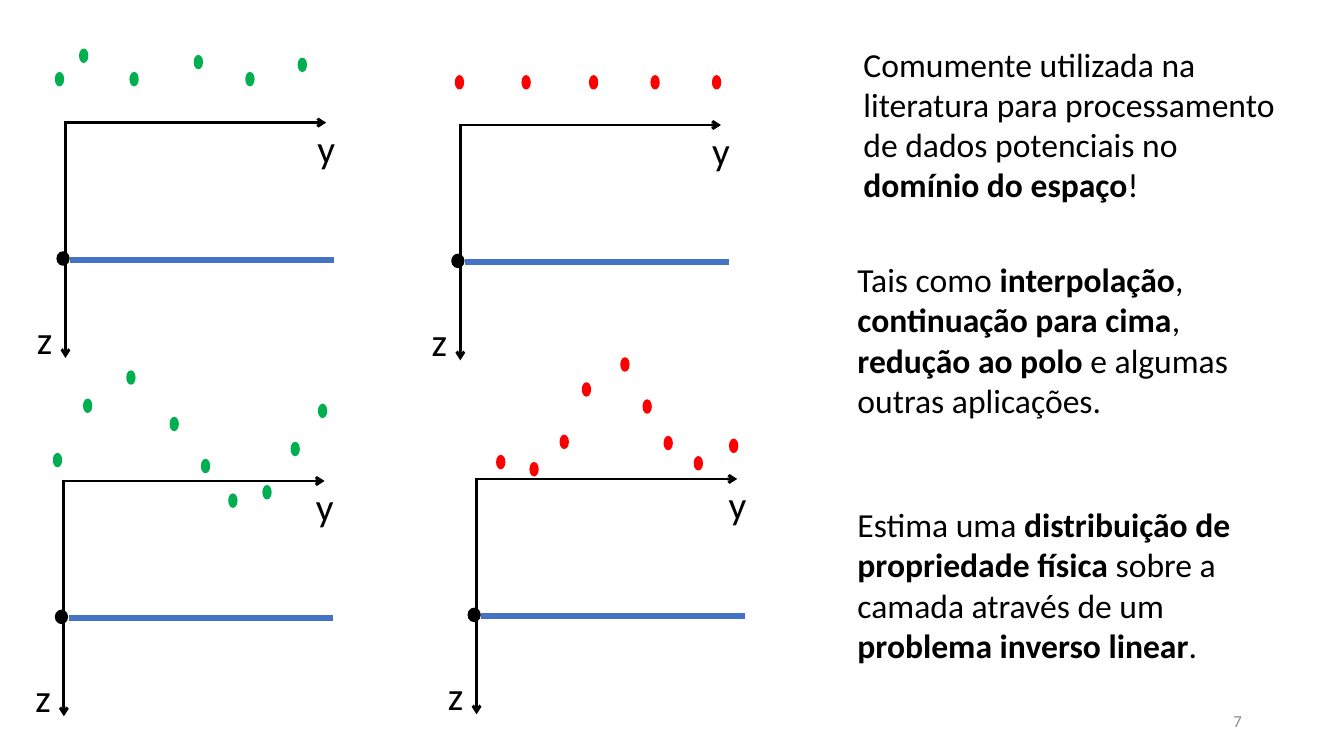
from dataclasses import dataclass

from lxml import etree
from pptx import Presentation
from pptx.dml.color import RGBColor
from pptx.enum.shapes import MSO_CONNECTOR, MSO_SHAPE
from pptx.enum.text import MSO_ANCHOR, MSO_AUTO_SIZE, PP_ALIGN
from pptx.oxml.ns import qn
from pptx.util import Cm, Pt

STRAIGHT = MSO_CONNECTOR.STRAIGHT
OVAL = MSO_SHAPE.OVAL
MIDDLE, TOP = MSO_ANCHOR.MIDDLE, MSO_ANCHOR.TOP
LEFT, RIGHT = PP_ALIGN.LEFT, PP_ALIGN.RIGHT
GROW = MSO_AUTO_SIZE.SHAPE_TO_FIT_TEXT
BLANK = 6


@dataclass(frozen=True)
class Theme:
    font: str = "Calibri"
    black: str = "000000"
    gray: str = "8C8C8C"
    blue: str = "4472C4"
    green: str = "00B050"
    red: str = "FF0000"
    label: int = 28
    body: int = 24
    small: int = 12


class Board:
    def __init__(self, slide, theme):
        self.slide = slide
        self.theme = theme

    def line(self, x, y, dx, dy, color, width, arrow=False):
        line = self.slide.shapes.add_connector(
            STRAIGHT, Cm(x), Cm(y), Cm(x + dx), Cm(y + dy))
        line.line.color.rgb = RGBColor.from_string(color)
        line.line.width = Pt(width)
        if arrow:
            etree.SubElement(line.line._get_or_add_ln(), qn("a:tailEnd"), type="arrow")
        etree.SubElement(line._element.spPr, qn("a:effectLst"))

    def dot(self, x, y, width, color):
        dot = self.slide.shapes.add_shape(OVAL, Cm(x), Cm(y), Cm(width), Cm(0.33))
        dot.shadow.inherit = False
        dot.fill.solid()
        dot.fill.fore_color.rgb = RGBColor.from_string(color)
        dot.line.color.rgb = RGBColor.from_string(color)
        dot.line.width = Pt(1)

    def text(self, x, y, width, height, words, size, color=None,
             align=LEFT, anchor=TOP, wrap=True, grow=True):
        """Add a text box; parts between asterisks are bold."""
        box = self.slide.shapes.add_textbox(Cm(x), Cm(y), Cm(width), Cm(height))
        frame = box.text_frame
        frame.word_wrap = wrap
        frame.vertical_anchor = anchor
        if grow:
            frame.auto_size = GROW
        para = frame.paragraphs[0]
        para.alignment = align
        for i, part in enumerate(words.split("*")):
            if not part:
                continue
            run = para.add_run()
            run.text = part
            run.font.name = self.theme.font
            run.font.size = Pt(size)
            run.font.bold = i % 2 == 1
            run.font.color.rgb = RGBColor.from_string(color or self.theme.black)

    def panel(self, x, y, color, points):
        """Draw axes from (x, y), the layer below and the data points."""
        theme = self.theme
        self.line(x, y, 0, 5.96, theme.black, 2, arrow=True)
        self.line(x, y + 0.03, 6.57, 0, theme.black, 2, arrow=True)
        self.text(x + 6.1, y - 0.05, 0.91, 1.45, "y", theme.label)
        self.text(x - 0.97, y + 4.75, 0.91, 1.45, "z", theme.label, wrap=False)
        self.dot(x - 0.21, y + 3.29, 0.3, theme.black)
        self.line(x + 0.12, y + 3.49, 6.65, 0, theme.blue, 4.25)
        for left, top in points:
            self.dot(left, top, 0.2, color)


def main():
    deck = Presentation()
    deck.slide_width, deck.slide_height = Cm(33.87), Cm(19.05)
    theme = Theme()
    board = Board(deck.slides.add_slide(deck.slide_layouts[BLANK]), theme)

    panels = [
        (1.65, 3.06, theme.green,
         [(1.4, 1.83), (2.01, 1.24), (3.28, 1.83), (4.9, 1.4), (6.2, 1.83),
          (7.52, 1.47)]),
        (11.6, 3.12, theme.red,
         [(x, 1.91) for x in (11.48, 13.16, 14.86, 16.41, 17.96)]),
        (1.61, 12.09, theme.green,
         [(1.35, 11.43), (2.11, 10.06), (3.2, 9.35), (4.29, 10.52), (5.08, 11.58),
          (5.77, 12.45), (6.63, 12.24), (7.34, 11.15), (8.03, 10.19)]),
        (12.01, 12.04, theme.red,
         [(12.52, 11.48), (13.36, 11.66), (14.12, 10.97), (14.68, 9.65), (15.65, 9.02),
          (16.21, 10.08), (16.74, 11), (17.5, 11.51), (18.39, 11.07)]),
    ]
    for panel in panels:
        board.panel(*panel)

    notes = [
        (21.51, 0.97, "Comumente utilizada na literatura para processamento "
                      "de dados potenciais no *domínio do espaço*!"),
        (21.36, 6.4, "Tais como *interpolação*, *continuação para cima*, "
                     "*redução ao polo *e algumas outras aplicações."),
        (21.36, 12.57, "Estima uma *distribuição de propriedade física* sobre a "
                       "camada através de um *problema inverso linear*."),
    ]
    for x, y, words in notes:
        board.text(x, y, 11.02, 4.37, words, theme.body)
    board.text(23.93, 17.65, 7.62, 1.02, "7", theme.small, theme.gray,
               align=RIGHT, anchor=MIDDLE, grow=False)

    deck.save("out.pptx")


if __name__ == "__main__":
    main()
